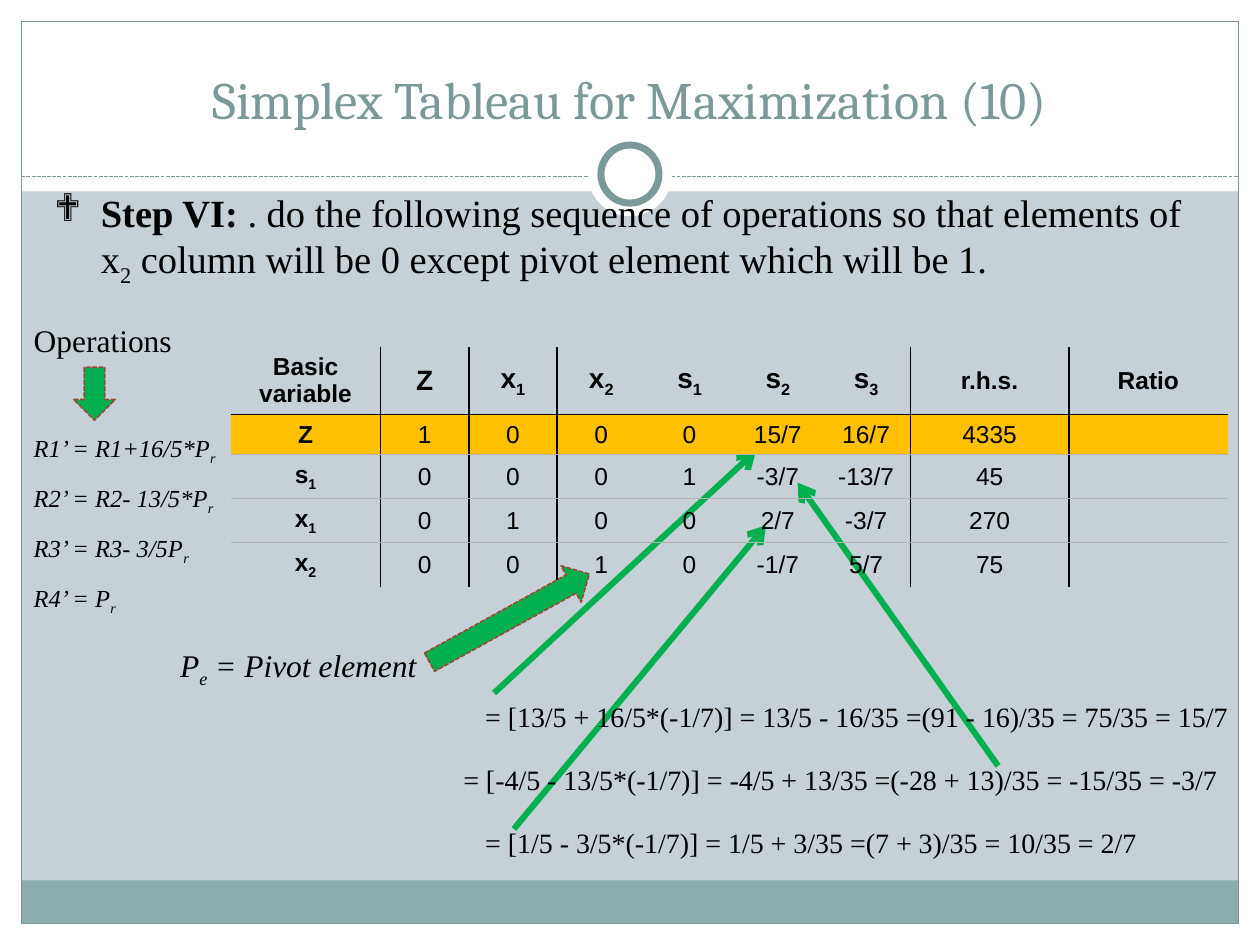
"""Build the simplex tableau slide for step VI of a maximization problem."""
from lxml import etree
from pptx import Presentation
from pptx.dml.color import RGBColor
from pptx.enum.dml import MSO_LINE
from pptx.enum.shapes import MSO_CONNECTOR, MSO_SHAPE
from pptx.enum.text import MSO_ANCHOR, MSO_AUTO_SIZE, PP_ALIGN
from pptx.oxml.ns import qn
from pptx.util import Cm, Pt

RECT, OVAL, ARROW = MSO_SHAPE.RECTANGLE, MSO_SHAPE.OVAL, MSO_SHAPE.RIGHT_ARROW
STRAIGHT = MSO_CONNECTOR.STRAIGHT
DASH = MSO_LINE.SQUARE_DOT
CENTER, MIDDLE, TOP, BOTTOM = PP_ALIGN.CENTER, MSO_ANCHOR.MIDDLE, MSO_ANCHOR.TOP, MSO_ANCHOR.BOTTOM
SERIF, SANS = "Times New Roman", "Arial"
WHITE, BLACK, TEAL, GREEN = "FFFFFF", "000000", "7C999A", "00B050"
BAND, BACK, GOLD, GREY, BROWN = "8CADAE", "C5D1D7", "FFC000", "B2B2B2", "9B4936"
PLAIN_TABLE = "{2D5ABB26-0587-4C30-8999-92F81FD0307C}"

TITLE = "Simplex Tableau for Maximization (10)"
STEP = [("Step VI: ", True),
        (". do the following sequence of operations so that elements of x_2 column "
         "will be 0 except pivot element which will be 1.", False)]
TABLEAU = [
    ["Basic variable", "Z", "x_1", "x_2", "s_1", "s_2", "s_3", "r.h.s.", "Ratio"],
    ["Z", "1", "0", "0", "0", "15/7", "16/7", "4335", ""],
    ["s_1", "0", "0", "0", "1", "-3/7", "-13/7", "45", ""],
    ["x_1", "0", "1", "0", "0", "2/7", "-3/7", "270", ""],
    ["x_2", "0", "0", "1", "0", "-1/7", "5/7", "75", ""],
]
COLS = [3.02] + [1.78] * 6 + [3.2] * 2
ROWS = [1.12] + [0.79] * 4
RULED = {1, 2, 7, 8}
OPERATIONS = ["R1’ = R1+16/5*P_r", "R2’ = R2- 13/5*P_r", "R3’ = R3- 3/5P_r", "R4’ = P_r"]
NOTES = [
    (0.43, 8.26, 5.28, 4.75, OPERATIONS, 14, True, 1.5),
    (0.43, 6.35, 3.61, 1.02, ["Operations"], 18, False, None),
    (3.38, 12.9, 6.35, 1.02, ["P_e = Pivot element"], 18, True, None),
    (9.53, 16.51, 14.4, 0.94,
     ["= [1/5 - 3/5*(-1/7)] = 1/5 + 3/35 =(7 + 3)/35 = 10/35 = 2/7"], 16, False, None),
    (9.09, 15.24, 16.31, 0.94,
     ["= [-4/5 - 13/5*(-1/7)] = -4/5 + 13/35 =(-28 + 13)/35 = -15/35 = -3/7"], 16, False, None),
    (9.53, 13.97, 16.31, 0.94,
     ["= [13/5 + 16/5*(-1/7)] = 13/5 - 16/35 =(91 - 16)/35 = 75/35 = 15/7"], 16, False, None),
]
RESULT_ARROWS = [(9.96, 13.97, 15.24, 9.09), (20.12, 15.44, 16.08, 9.73),
                 (10.36, 16.71, 15.44, 10.59)]
BLOCK_ARROWS = [(1.37, 7.52, 1.07, 0.84, 90), (8.43, 12.04, 3.68, 0.84, 331.1)]
MARGINS = [(0, 18.62, 25.4, 0.43, WHITE), (0, 0, 25.4, 3.86, WHITE),
           (0, 0, 0.43, 19.05, WHITE), (24.97, 0, 0.43, 19.05, WHITE),
           (0.43, 17.75, 24.54, 0.87, BAND)]


def color(value):
    return RGBColor.from_string(value)


def sub(parent, tag, **attrs):
    return etree.SubElement(parent, qn(tag), attrs)


def set_font(font, name, size, value=BLACK, bold=False, italic=False):
    font.name, font.size, font.bold, font.italic = name, Pt(size), bold, italic
    font.color.rgb = color(value)


def add_runs(p, text, bold=None):
    """Add text in which an underscore lowers the next character."""
    head, *tails = text.split("_")
    for part, lowered in [(head, False)] + [x for t in tails
                                            for x in ((t[0], True), (t[1:], False))]:
        if part:
            r = p.add_run()
            r.text = part
            if bold is not None:
                r.font.bold = bold
            if lowered:
                r.font._element.set("baseline", "-25000")


def set_line(line, value, width, dash=None):
    line.color.rgb, line.width = color(value), Pt(width)
    if dash:
        line.dash_style = dash


def add_shape(s, kind, x, y, w, h, fill=None, line=None):
    sp = s.shapes.add_shape(kind, Cm(x), Cm(y), Cm(w), Cm(h))
    sp.shadow.inherit = False
    if fill:
        sp.fill.solid()
        sp.fill.fore_color.rgb = color(fill)
    else:
        sp.fill.background()
    if line:
        set_line(sp.line, *line)
    else:
        sp.line.fill.background()
    return sp


def add_line(s, ends, *line):
    cx = s.shapes.add_connector(STRAIGHT, *map(Cm, ends))
    set_line(cx.line, *line)
    sub(cx._element.spPr, "a:effectLst")
    return cx


def add_frame(s):
    for *box, fill in MARGINS:
        add_shape(s, RECT, *box, fill)
    add_shape(s, RECT, 0.43, 0.43, 24.54, 18.19, None, (TEAL, 0.75))
    add_line(s, (0.43, 3.56, 24.97, 3.56), TEAL, 0.75, DASH)
    for size, line in ((1.7, None), (1.17, (TEAL, 4))):
        add_shape(s, OVAL, 12.7 - size / 2, 3.51 - size / 2, size, size, WHITE, line)


def place(sp, x, y, w, h, anchor):
    """Bring a placeholder to the front, position it and return its first paragraph."""
    sp.element.getparent().append(sp.element)
    sp.left, sp.top, sp.width, sp.height = map(Cm, (x, y, w, h))
    tf = sp.text_frame
    tf.word_wrap, tf.auto_size, tf.vertical_anchor = True, MSO_AUTO_SIZE.NONE, anchor
    p = tf.paragraphs[0]
    p.space_before = Pt(0)
    return p


def add_heading(s):
    p = place(s.shapes.title, 0.84, 0.64, 23.7, 2.11, BOTTOM)
    p.alignment = CENTER
    add_runs(p, TITLE)
    set_font(p.font, "Cambria", 30, TEAL)

    p = place(s.placeholders[1], 0.84, 3.68, 23.7, 2.13, TOP)
    pPr = p._p.get_or_add_pPr()
    pPr.set("marL", str(Cm(0.94)))
    pPr.set("indent", str(-Cm(0.94)))
    sub(pPr, "a:buFont", typeface="Wingdings")
    sub(pPr, "a:buChar", char="❖")
    for text, bold in STEP:
        add_runs(p, text, bold)
    set_font(p.font, SERIF, 22)


def set_borders(cell, row, col):
    last = len(TABLEAU) - 1
    top = BLACK if row == 1 else GREY
    bottom = BLACK if row == 0 else GREY
    edges = [("a:lnL", BLACK, col in RULED), ("a:lnR", BLACK, col + 1 in RULED),
             ("a:lnT", top, row > 0), ("a:lnB", bottom, row < last)]
    tcPr = cell._tc.get_or_add_tcPr()
    for tag, value, shown in edges:
        if shown:
            ln = sub(tcPr, tag, w=str(Pt(1)))
            sub(sub(ln, "a:solidFill"), "a:srgbClr", val=value)


def add_tableau(s):
    tbl = s.shapes.add_table(len(ROWS), len(COLS), Cm(4.65), Cm(6.99),
                             Cm(sum(COLS)), Cm(sum(ROWS))).table
    tbl.first_row = tbl.horz_banding = False
    tbl._tbl.tblPr.find(qn("a:tableStyleId")).text = PLAIN_TABLE
    for column, width in zip(tbl.columns, COLS):
        column.width = Cm(width)
    for i, values in enumerate(TABLEAU):
        tbl.rows[i].height = Cm(ROWS[i])
        for j, text in enumerate(values):
            cell = tbl.cell(i, j)
            set_borders(cell, i, j)
            if i == 1:
                cell.fill.solid()
                cell.fill.fore_color.rgb = color(GOLD)
            else:
                cell.fill.background()
            cell.vertical_anchor = MIDDLE
            p = cell.text_frame.paragraphs[0]
            p.alignment = CENTER
            add_runs(p, text)
            set_font(p.font, SANS, 16 if i == 0 and 0 < j < 7 else 14, bold=i == 0 or j == 0)
            if not text:
                sub(p._p, "a:endParaRPr", sz="1400")


def add_note(s, x, y, w, h, lines, size, italic, spacing):
    tf = s.shapes.add_textbox(Cm(x), Cm(y), Cm(w), Cm(h)).text_frame
    tf.word_wrap = True
    for i, text in enumerate(lines):
        p = tf.add_paragraph() if i else tf.paragraphs[0]
        p.line_spacing = spacing
        add_runs(p, text)
        set_font(p.font, SERIF, size, italic=italic)


def main():
    prs = Presentation()
    prs.slide_width, prs.slide_height = Cm(25.4), Cm(19.05)
    s = prs.slides.add_slide(prs.slide_layouts[1])
    s.background.fill.solid()
    s.background.fill.fore_color.rgb = color(BACK)
    add_frame(s)
    for ends in RESULT_ARROWS:
        cx = add_line(s, ends, GREEN, 3.5)
        sub(cx.line._get_or_add_ln(), "a:tailEnd", type="arrow")
    add_heading(s)
    add_tableau(s)
    for *box, angle in BLOCK_ARROWS:
        add_shape(s, ARROW, *box, GREEN, (BROWN, 0.9, DASH)).rotation = angle
    for note in NOTES:
        add_note(s, *note)
    prs.save("out.pptx")


if __name__ == "__main__":
    main()
